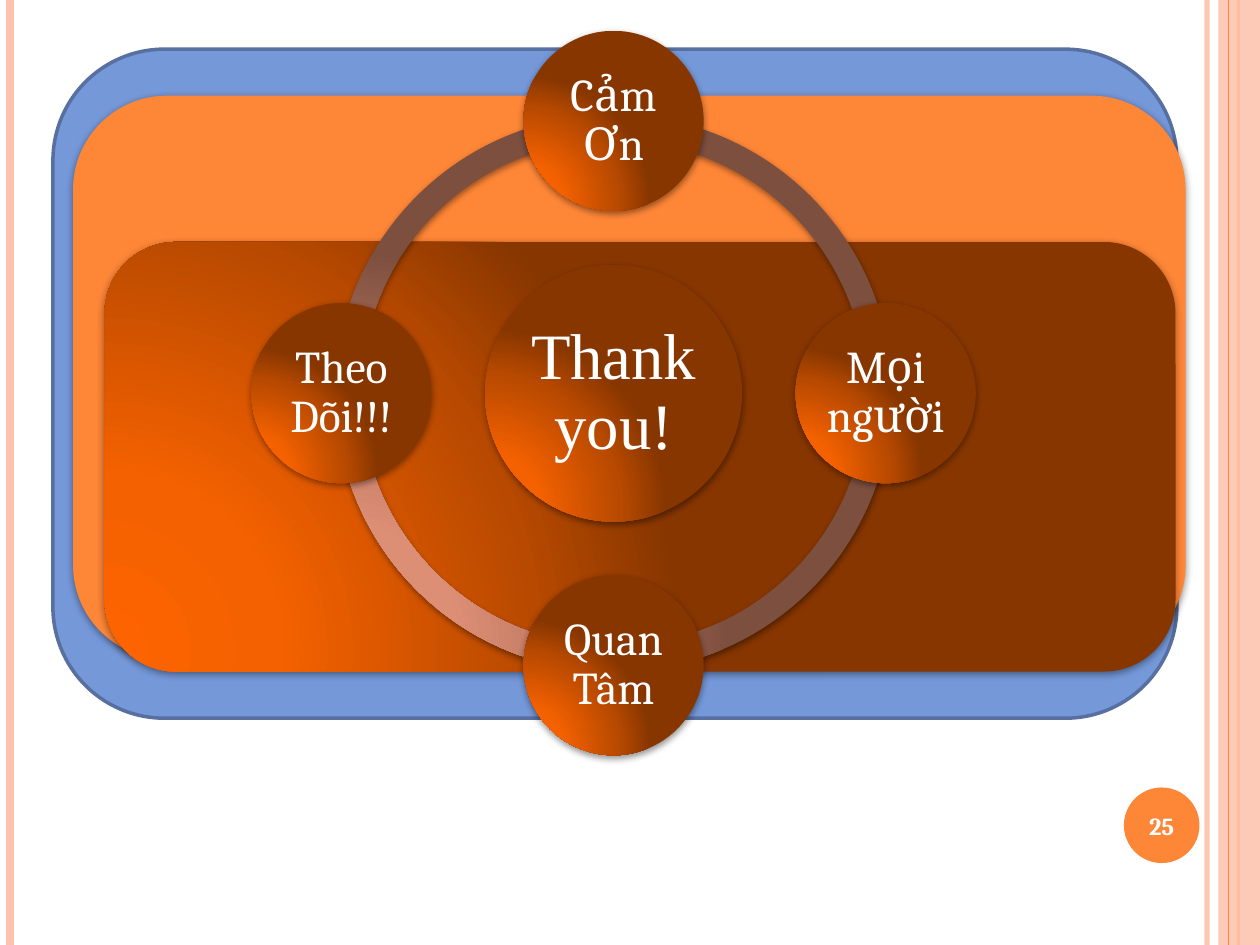
import math
from dataclasses import dataclass

from lxml import etree
from pptx import Presentation
from pptx.dml.color import RGBColor
from pptx.enum.shapes import MSO_CONNECTOR, MSO_SHAPE
from pptx.enum.text import MSO_ANCHOR, PP_ALIGN
from pptx.oxml import parse_xml
from pptx.oxml.ns import qn
from pptx.util import Inches, Pt

STRAIGHT = MSO_CONNECTOR.STRAIGHT
RECTANGLE = MSO_SHAPE.RECTANGLE
ROUNDED = MSO_SHAPE.ROUNDED_RECTANGLE
OVAL = MSO_SHAPE.OVAL
BLOCK_ARC = MSO_SHAPE.BLOCK_ARC
MIDDLE = MSO_ANCHOR.MIDDLE
CENTER = PP_ALIGN.CENTER
DRAWING_NS = "http://schemas.openxmlformats.org/drawingml/2006/main"
TITLE_ONLY = 5


@dataclass(frozen=True)
class Theme:
    """Colours, fonts and type sizes of the slide."""
    orange: str = "FE8637"
    peach: str = "FEC3AE"
    blue: str = "7598D9"
    blue_edge: str = "5770A1"
    white: str = "FFFFFF"
    glow: tuple = ("FD6400", "F46100", "B74900", "873600")
    ring: tuple = ("E59579", "DD8F75", "A86A56", "7D4F3F")
    stops: tuple = (0, 30, 75, 100)
    font: str = "Cambria"
    hub_font: str = "Times New Roman"
    hub_size: int = 37
    satellite_size: int = 26
    number_size: int = 14


THEME = Theme()


def set_alpha(fill_parent, percent):
    """Make the solid fill below an element partly transparent."""
    color = fill_parent.find(".//" + qn("a:srgbClr"))
    etree.SubElement(color, qn("a:alpha"), val=str(percent * 1000))


def add_shadow(shape):
    """Give a shape the soft shadow that falls straight down."""
    effects = shape.element.spPr.find(qn("a:effectLst"))
    effects.append(parse_xml(
        f'<a:outerShdw xmlns:a="{DRAWING_NS}" blurRad="{Pt(4)}" dist="{Pt(1.6)}" '
        'dir="5400000" rotWithShape="0"><a:srgbClr val="000000">'
        '<a:alpha val="42000"/></a:srgbClr></a:outerShdw>'))


def gradient_xml(colors):
    """Build a circular gradient that glows from the lower left."""
    stops = "".join(
        f'<a:gs pos="{stop * 1000}"><a:srgbClr val="{color}"/></a:gs>'
        for stop, color in zip(THEME.stops, colors))
    return parse_xml(
        f'<a:gradFill xmlns:a="{DRAWING_NS}" rotWithShape="1"><a:gsLst>{stops}</a:gsLst>'
        '<a:path path="circle"><a:fillToRect l="5000" t="100000" r="120000" '
        'b="10000"/></a:path></a:gradFill>')


def add_panel(slide, kind, box, fill, edge=None, shadow=True):
    """Draw a preset shape; fill is one colour or a tuple of gradient colours."""
    shape = slide.shapes.add_shape(kind, *map(Inches, box))
    shape.shadow.inherit = False
    if shadow:
        add_shadow(shape)
    if isinstance(fill, tuple):
        shape.element.spPr.find(qn("a:prstGeom")).addnext(gradient_xml(fill))
    else:
        shape.fill.solid()
        shape.fill.fore_color.rgb = RGBColor.from_string(fill)
    if edge:
        shape.line.color.rgb = RGBColor.from_string(edge)
        shape.line.width = Pt(2)
    else:
        shape.line.fill.background()
    return shape


def write_text(shape, text, size, font=THEME.font, bold=False, inset=0.0, spacing=0.9):
    """Put centred white text into a shape."""
    frame = shape.text_frame
    frame.word_wrap = True
    frame.vertical_anchor = MIDDLE
    frame.margin_left = frame.margin_right = Inches(inset)
    frame.margin_top = frame.margin_bottom = Inches(inset)
    paragraph = frame.paragraphs[0]
    paragraph.alignment = CENTER
    paragraph.line_spacing = spacing
    run = paragraph.add_run()
    run.text = text
    run.font.size = Pt(size)
    run.font.name = font
    run.font.bold = bold
    run.font.color.rgb = RGBColor.from_string(THEME.white)


def square(center_x, center_y, size):
    """Return the box of a square around a centre."""
    return center_x - size / 2, center_y - size / 2, size, size


def add_rail(slide, x, height, color, width, alpha=100):
    """Draw one vertical rail down the slide."""
    rail = slide.shapes.add_connector(STRAIGHT, Inches(x), 0, Inches(x), Inches(height))
    rail.line.color.rgb = RGBColor.from_string(color)
    rail.line.width = Pt(width)
    etree.SubElement(rail.element.spPr, qn("a:effectLst"))
    if alpha < 100:
        set_alpha(rail.element.spPr, alpha)


def add_frame(slide, box):
    """Draw the rails and the band at the slide's edges."""
    left, top, width, height = box
    right = left + width
    add_rail(slide, right - 0.42, height, THEME.peach, 3, alpha=93)
    add_rail(slide, left + 0.08, height, THEME.peach, 4.5)
    add_rail(slide, right - 0.17, height, THEME.orange, 1.5)
    band = add_panel(slide, RECTANGLE, (right - 0.33, top, 0.33, height),
                     THEME.peach, shadow=False)
    set_alpha(band.element.spPr, 87)
    add_rail(slide, right - 0.25, height, THEME.orange, 0.75)


def add_page_number(slide, box, number):
    """Draw the round page number badge."""
    badge = add_panel(slide, OVAL, box, THEME.orange, shadow=False)
    write_text(badge, number, THEME.number_size, bold=True, spacing=1)


def add_backdrop(slide, box):
    """Stack the three rounded panels behind the wheel."""
    left, top, width, height = box
    add_panel(slide, ROUNDED, box, THEME.blue, edge=THEME.blue_edge, shadow=False)
    add_panel(slide, ROUNDED, (left + 0.16, top + 0.37, width - 0.09, height - 0.84),
              THEME.orange)
    add_panel(slide, ROUNDED, (left + 0.41, top + 1.53, width - 0.42, height - 1.9),
              THEME.glow)


def add_wheel(slide, box, hub_text, satellite_texts):
    """Draw a ring with a hub and satellites, clockwise from the top."""
    left, top, size, _ = box
    center_x, center_y = left + size / 2, top + size / 2
    orbit = 2.16
    quarter = 54  # 90 degrees in adjustment units

    for start in (2, 1, 0, 3):
        arc = add_panel(slide, BLOCK_ARC, box, THEME.ring)
        arc.adjustments[0] = start * quarter
        arc.adjustments[1] = (start + 1) % 4 * quarter
        arc.adjustments[2] = 0.046

    add_panel(slide, OVAL, square(center_x, center_y, 2.04), THEME.glow)
    title = slide.shapes.title
    title.left, title.top, title.width, title.height = map(
        Inches, square(center_x, center_y, 1.44))
    write_text(title, hub_text, THEME.hub_size, font=THEME.hub_font, inset=0.05)
    title.element.getparent().append(title.element)

    for index, text in enumerate(satellite_texts):
        angle = math.tau * index / len(satellite_texts)
        satellite = add_panel(
            slide, OVAL,
            square(center_x + orbit * math.sin(angle),
                   center_y - orbit * math.cos(angle), 1.43), THEME.glow)
        write_text(satellite, text, THEME.satellite_size)


def main():
    """Build and save the closing slide."""
    deck = Presentation()
    deck.slide_width, deck.slide_height = Inches(10), Inches(7.5)
    slide = deck.slides.add_slide(deck.slide_layouts[TITLE_ONLY])
    add_frame(slide, (0, 0, 10, 7.5))
    add_page_number(slide, (8.92, 6.25, 0.6, 0.6), "25")
    add_backdrop(slide, (0.42, 0.39, 8.92, 5.31))
    add_wheel(slide, (2.66, 0.91, 4.42, 4.42), "Thank you!",
              ("Cảm Ơn", "Mọi người", "Quan Tâm", "Theo Dõi!!!"))
    deck.save("out.pptx")


main()
